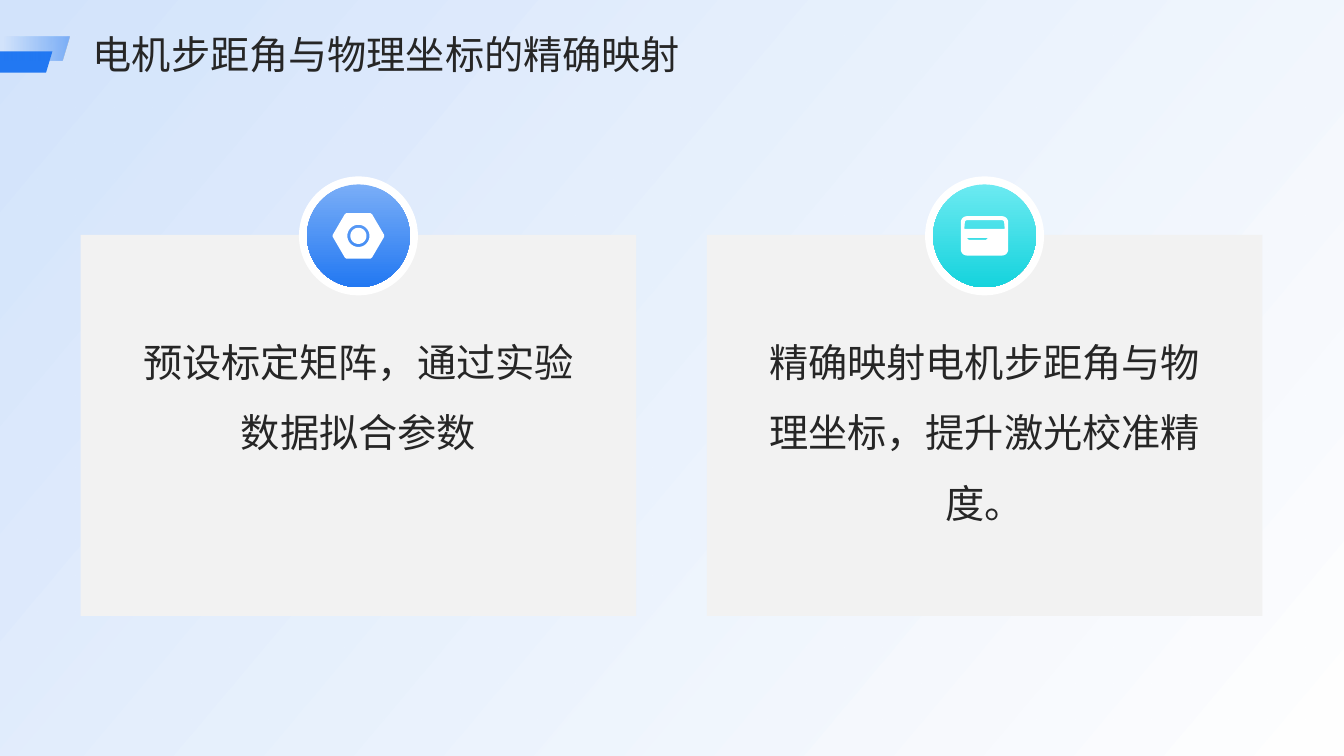
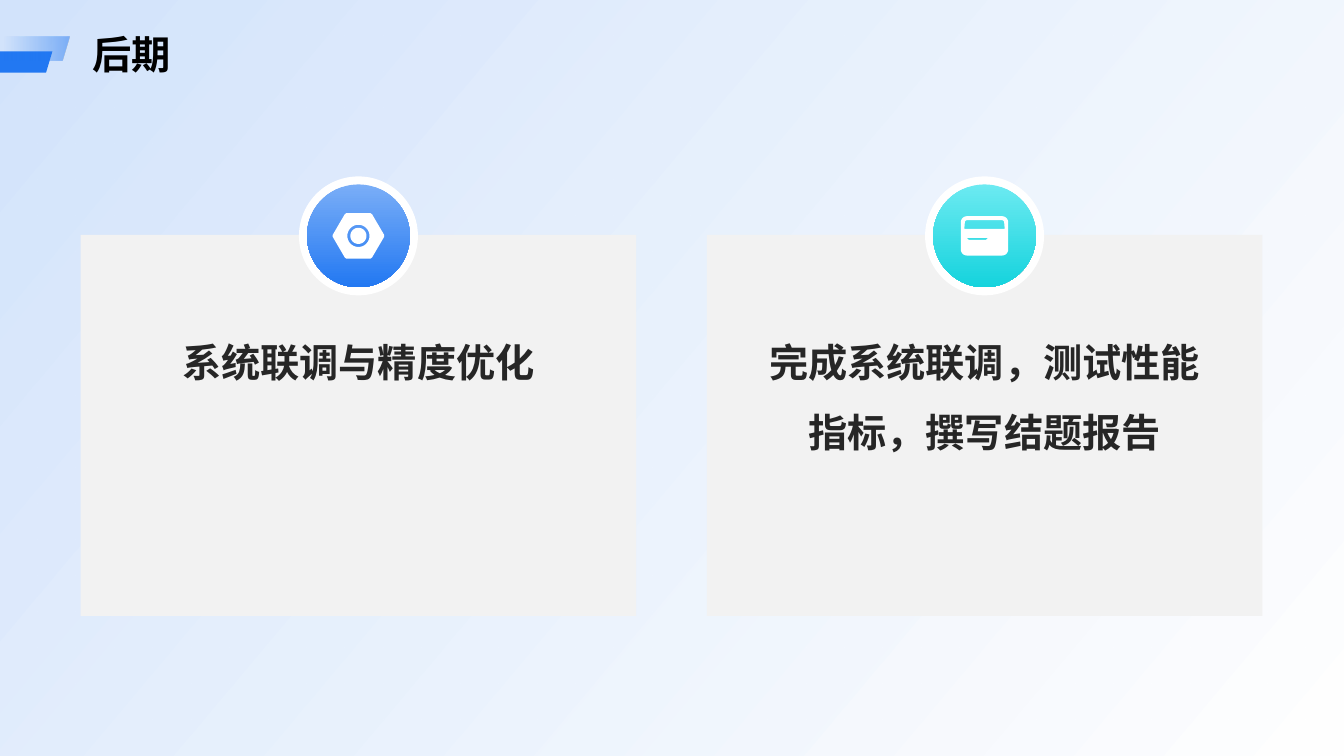
import math

from lxml import etree
from pptx import Presentation
from pptx import util as u
from pptx.dml.color import RGBColor
from pptx.enum import shapes, text
from pptx.oxml.ns import qn

COLORS = {
    "sky": "D3E4FC", "white": "FFFFFF", "card": "F2F2F2",
    "blue": "2278F2", "light_blue": "7AAEF7",
    "cyan": "15D3DD", "light_cyan": "6CEAF1",
    "ink": "262626", "black": "000000",
}
FONT = "Noto Sans CJK SC"
SHAPE = shapes.MSO_SHAPE
SLIDE_WIDTH, SLIDE_HEIGHT = 13.33, 7.5
CARD_LEFT, CARD_TOP, CARD_WIDTH, CARD_HEIGHT = 0.8, 2.33, 5.51, 3.78
CARD_PITCH = 6.21
TEXT_TOP, TEXT_WIDTH, TEXT_HEIGHT = 3.12, 4.57, 2.61
BADGE_CENTER_Y, BADGE_SIZE, DISC_SIZE = 2.34, 1.18, 1.02

SLIDES = [
    {"title": "电机步距角与物理坐标的精确映射", "title_color": "ink", "bold": False,
     "cards": ["预设标定矩阵，通过实验数据拟合参数",
               "精确映射电机步距角与物理坐标，提升激光校准精度。"]},
    {"title": "后期", "title_color": "black", "bold": True,
     "cards": ["系统联调与精度优化", "完成系统联调，测试性能指标，撰写结题报告"]},
]

# Icon outlines, in inches from the badge centre
circles = [[(radius * math.cos(math.radians(angle)), radius * math.sin(math.radians(angle)))
            for angle in range(0, 360, 10)] for radius in (0.11, 0.08)]
nut_corner = [(0.255, 0.01), (0.135, 0.215), (0.12, 0.225)]
nut_half = nut_corner + [(-x, y) for x, y in reversed(nut_corner)]
nut_icon = [nut_half + [(-x, -y) for x, y in nut_half]] + circles

# Each rounded corner: centre x, centre y, radius, first angle
panel_icon = []
for corners, tail in (
    ([(-0.175, -0.135, 0.06, 180), (0.175, -0.135, 0.06, 270),
      (0.175, 0.135, 0.06, 0), (-0.175, 0.135, 0.06, 90)], []),
    ([(-0.175, -0.135, 0.02, 180), (0.175, -0.135, 0.02, 270)],
     [(0.2, -0.07), (-0.2, -0.07)]),
):
    panel_icon.append([
        (x + radius * math.cos(math.radians(first + step)),
         y + radius * math.sin(math.radians(first + step)))
        for x, y, radius, first in corners for step in range(0, 91, 15)
    ] + tail)
panel_icon.append([(-0.175, 0.02), (-0.155, 0.04), (0.015, 0.04), (0.035, 0.02)])

BADGES = [("light_blue", "blue", nut_icon), ("light_cyan", "cyan", panel_icon)]


def add_filled_shape(slide, kind, left, top, width, height, fill, angle=0):
    """Fill is a colour name, or a list of (position, colour name, opacity) stops."""
    shape = slide.shapes.add_shape(
        kind, u.Inches(left), u.Inches(top), u.Inches(width), u.Inches(height))
    shape.shadow.inherit = False
    shape.line.fill.background()
    if isinstance(fill, str):
        shape.fill.solid()
        shape.fill.fore_color.rgb = RGBColor.from_string(COLORS[fill])
        return shape
    shape.fill.gradient()
    shape.fill.gradient_angle = (360 - angle) % 360
    for stop, (position, color, _) in zip(shape.fill.gradient_stops, fill):
        stop.position = position
        stop.color.rgb = RGBColor.from_string(COLORS[color])
    color_elements = shape.element.spPr.iter(qn("a:srgbClr"))
    for element, (_, _, opacity) in zip(list(color_elements), fill):
        if opacity < 1:
            etree.SubElement(element, qn("a:alpha"), val=str(round(opacity * 100000)))
    return shape


def add_text(slide, left, top, width, height, content, color, bold, spacing, align, anchor):
    box = slide.shapes.add_textbox(
        u.Inches(left), u.Inches(top), u.Inches(width), u.Inches(height))
    frame = box.text_frame
    frame.word_wrap = True
    frame.margin_left = frame.margin_right = frame.margin_top = frame.margin_bottom = 0
    frame.vertical_anchor = anchor
    paragraph = frame.paragraphs[0]
    paragraph.alignment = align
    paragraph.line_spacing = spacing
    run = paragraph.add_run()
    run.text = content
    run.font.size = u.Pt(28)
    run.font.bold = bold
    run.font.color.rgb = RGBColor.from_string(COLORS[color])
    run.font.name = FONT
    etree.SubElement(run.font._element, qn("a:ea"), typeface=FONT)


presentation = Presentation()
presentation.slide_width = u.Inches(SLIDE_WIDTH)
presentation.slide_height = u.Inches(SLIDE_HEIGHT)

for content in SLIDES:
    slide = presentation.slides.add_slide(presentation.slide_layouts[6])
    add_filled_shape(slide, SHAPE.RECTANGLE, 0, 0, SLIDE_WIDTH, SLIDE_HEIGHT,
                     [(0, "sky", 1), (1, "white", 0.85)], angle=40)

    for index, (card_text, badge) in enumerate(zip(content["cards"], BADGES)):
        disc_top_color, disc_bottom_color, icon = badge
        left = CARD_LEFT + index * CARD_PITCH
        center_x = left + CARD_WIDTH / 2
        add_filled_shape(slide, SHAPE.RECTANGLE, left, CARD_TOP,
                         CARD_WIDTH, CARD_HEIGHT, "card")
        disc_fill = [(0, disc_top_color, 1), (1, disc_bottom_color, 1)]
        for size, fill in ((BADGE_SIZE, "white"), (DISC_SIZE, disc_fill)):
            add_filled_shape(slide, SHAPE.OVAL, center_x - size / 2,
                             BADGE_CENTER_Y - size / 2, size, size, fill, angle=90)

        builder = None
        for outline in icon:
            points = [(u.Inches(center_x + x), u.Inches(BADGE_CENTER_Y + y))
                      for x, y in outline]
            if builder is None:
                builder = slide.shapes.build_freeform(*points[0])
            else:
                builder.move_to(*points[0])
            builder.add_line_segments(points[1:], close=True)
        icon_shape = builder.convert_to_shape()
        icon_shape.shadow.inherit = False
        icon_shape.fill.solid()
        icon_shape.fill.fore_color.rgb = RGBColor.from_string(COLORS["white"])
        icon_shape.line.fill.background()

        add_text(slide, center_x - TEXT_WIDTH / 2, TEXT_TOP, TEXT_WIDTH, TEXT_HEIGHT,
                 card_text, "ink", content["bold"], 1.5,
                 text.PP_ALIGN.CENTER, text.MSO_ANCHOR.TOP)

    for top, width, height, fill in (
        (0.51, 0.67, 0.21, "blue"),
        (0.36, 0.84, 0.24, [(0.23, "blue", 0), (1, "blue", 0.5)]),
    ):
        stripe = add_filled_shape(slide, SHAPE.PARALLELOGRAM, -0.15, top, width, height, fill)
        stripe.adjustments[0] = 0.3
    add_text(slide, 0.92, 0.19, 11.75, 0.55, content["title"], content["title_color"],
             content["bold"], 1.3, text.PP_ALIGN.LEFT, text.MSO_ANCHOR.MIDDLE)

presentation.save("out.pptx")
